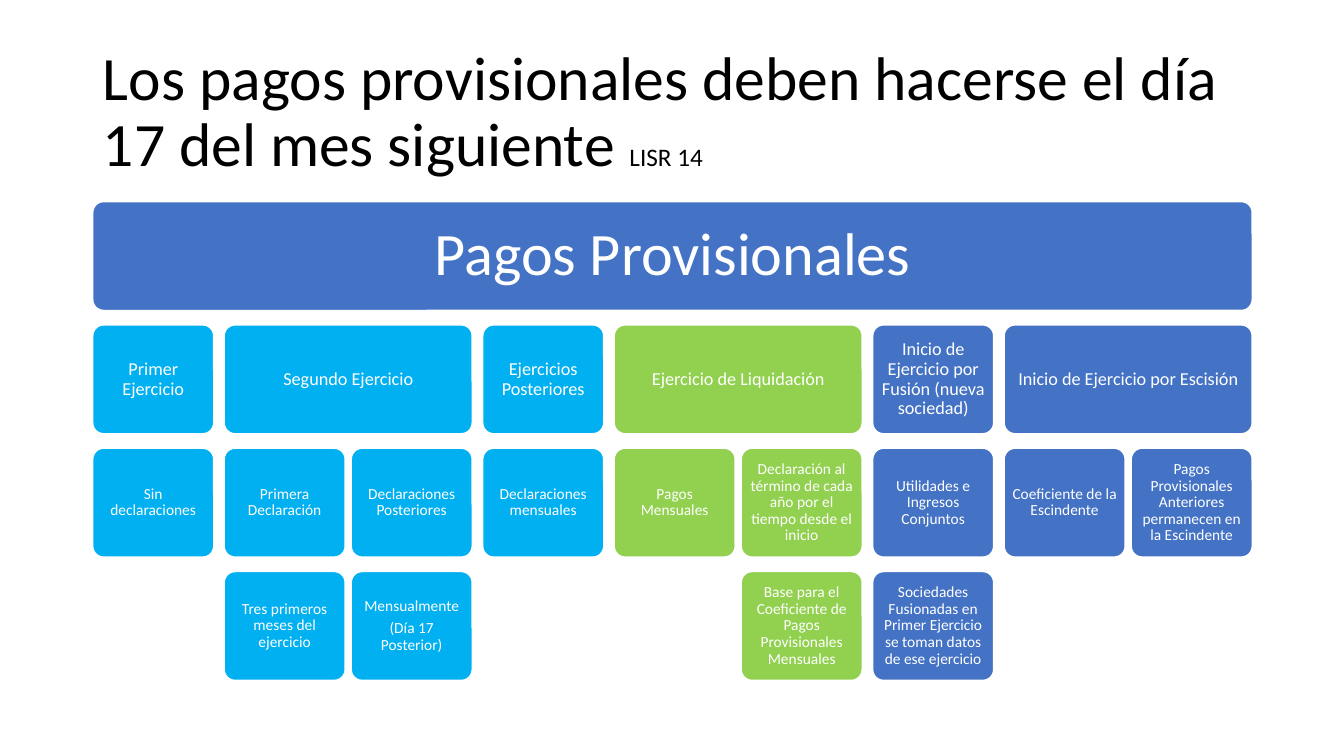
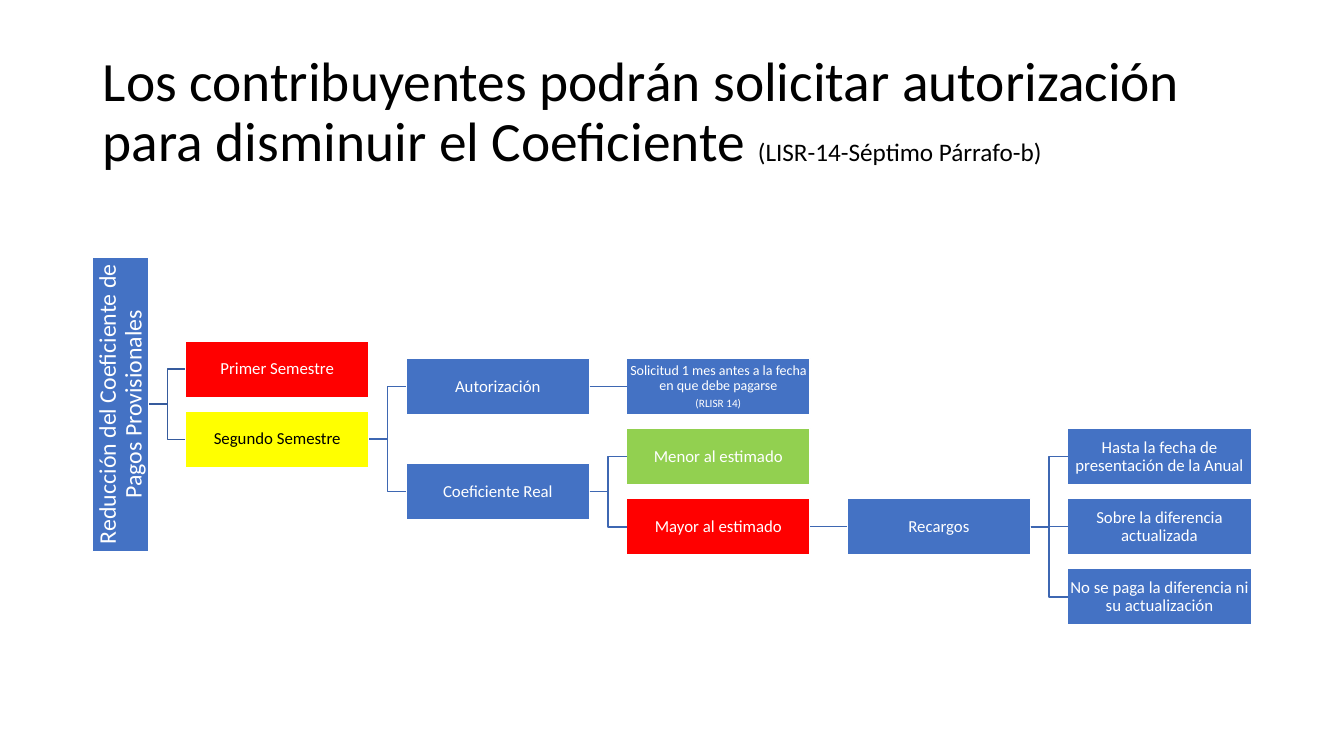
"""Build two slides on provisional tax payments: a block hierarchy and a decision tree."""
from dataclasses import dataclass

from lxml import etree
from pptx import Presentation
from pptx.dml.color import RGBColor
from pptx.enum.shapes import MSO_CONNECTOR, MSO_SHAPE
from pptx.enum.text import MSO_ANCHOR, MSO_AUTO_SIZE, PP_ALIGN
from pptx.oxml.ns import qn
from pptx.util import Inches, Pt

ROUNDED, RECTANGLE = MSO_SHAPE.ROUNDED_RECTANGLE, MSO_SHAPE.RECTANGLE
ELBOW, STRAIGHT = MSO_CONNECTOR.ELBOW, MSO_CONNECTOR.STRAIGHT
MIDDLE, NO_AUTOFIT = MSO_ANCHOR.MIDDLE, MSO_AUTO_SIZE.NONE
LEFT, CENTER = PP_ALIGN.LEFT, PP_ALIGN.CENTER
LEFT_SIDE, RIGHT_SIDE = 1, 3


@dataclass(frozen=True)
class Theme:
    font: str = "Calibri"
    black: RGBColor = RGBColor(0x00, 0x00, 0x00)
    white: RGBColor = RGBColor(0xFF, 0xFF, 0xFF)
    blue: RGBColor = RGBColor(0x44, 0x72, 0xC4)
    cyan: RGBColor = RGBColor(0x00, 0xB0, 0xF0)
    green: RGBColor = RGBColor(0x92, 0xD0, 0x50)
    red: RGBColor = RGBColor(0xFF, 0x00, 0x00)
    yellow: RGBColor = RGBColor(0xFF, 0xFF, 0x00)
    root_link: RGBColor = RGBColor(0x36, 0x5B, 0x9D)
    branch_link: RGBColor = RGBColor(0x3E, 0x67, 0xB2)
    title: float = 44
    long_title: float = 39.6
    reference: float = 18
    banner: float = 43
    heading: float = 13
    detail: float = 11
    root: float = 17
    node: float = 12
    note: float = 10
    small_note: float = 8
    line_spacing: float = 0.9
    paragraph_gap: float = 0.35
    outline: float = 1


THEME = Theme()
CONTENT_LEFT, CONTENT_WIDTH = 0.92, 11.5

presentation = Presentation()
presentation.slide_width = Inches(13.33)
presentation.slide_height = Inches(7.5)
title_layout = presentation.slide_layouts[5]


def add_titled_slide(text, size, reference):
    slide = presentation.slides.add_slide(title_layout)
    title = slide.shapes.title
    title.left, title.top = Inches(CONTENT_LEFT), Inches(0.4)
    title.width, title.height = Inches(CONTENT_WIDTH), Inches(1.45)
    frame = title.text_frame
    frame.auto_size = NO_AUTOFIT
    frame.vertical_anchor = MIDDLE
    paragraph = frame.paragraphs[0]
    paragraph.alignment = LEFT
    paragraph.line_spacing = THEME.line_spacing
    for run_text, run_size in ((text, size), (reference, THEME.reference)):
        run = paragraph.add_run()
        run.text = run_text
        run.font.name = THEME.font
        run.font.size = Pt(run_size)
        run.font.color.rgb = THEME.black
    return slide


def add_box(slide, kind, position, fill, lines, inset, color=THEME.white):
    shape = slide.shapes.add_shape(kind, *[Inches(value) for value in position])
    shape.shadow.inherit = False
    shape.fill.solid()
    shape.fill.fore_color.rgb = fill
    shape.line.color.rgb = THEME.white
    shape.line.width = Pt(THEME.outline)
    if kind == ROUNDED:
        shape.adjustments[0] = 0.1
    frame = shape.text_frame
    frame.word_wrap = True
    frame.vertical_anchor = MIDDLE
    frame.margin_left = frame.margin_right = Inches(inset)
    frame.margin_top = frame.margin_bottom = Inches(inset)
    for index, (text, size) in enumerate(lines):
        paragraph = frame.add_paragraph() if index else frame.paragraphs[0]
        paragraph.alignment = CENTER
        paragraph.line_spacing = THEME.line_spacing
        if index < len(lines) - 1:
            paragraph.space_after = Pt(size * THEME.paragraph_gap)
        run = paragraph.add_run()
        run.text = text
        run.font.name = THEME.font
        run.font.size = Pt(size)
        run.font.color.rgb = color
    return shape


payments_slide = add_titled_slide(
    "Los pagos provisionales deben hacerse el día 17 del mes siguiente ",
    THEME.title, "LISR 14")

payment_groups = [
    ("Primer Ejercicio", THEME.cyan, [[["Sin declaraciones"]]]),
    ("Segundo Ejercicio", THEME.cyan, [
        [["Primera Declaración"], ["Tres primeros meses del ejercicio"]],
        [["Declaraciones Posteriores"], ["Mensualmente", "(Día 17 Posterior)"]]]),
    ("Ejercicios Posteriores", THEME.cyan, [[["Declaraciones mensuales"]]]),
    ("Ejercicio de Liquidación", THEME.green, [
        [["Pagos Mensuales"]],
        [["Declaración al término de cada año por el tiempo desde el inicio"],
         ["Base para el Coeficiente de Pagos Provisionales Mensuales"]]]),
    ("Inicio de Ejercicio por Fusión (nueva sociedad)", THEME.blue, [
        [["Utilidades e Ingresos Conjuntos"],
         ["Sociedades Fusionadas en Primer Ejercicio se toman datos de ese ejercicio"]]]),
    ("Inicio de Ejercicio por Escisión", THEME.blue, [
        [["Coeficiente de la Escindente"]],
        [["Pagos Provisionales Anteriores permanecen en la Escindente"]]]),
]

block_width, block_height, column_gap = 1.2, 1.08, 0.06
group_widths = [len(columns) * (block_width + column_gap) - column_gap
                for _, _, columns in payment_groups]
group_gap = (CONTENT_WIDTH - sum(group_widths)) / (len(payment_groups) - 1)
first_top, last_top = 2, 5.67
row_tops = [first_top + row * (last_top - first_top) / 3 for row in range(4)]

add_box(payments_slide, ROUNDED, (CONTENT_LEFT, row_tops[0], CONTENT_WIDTH, block_height),
        THEME.blue, [("Pagos Provisionales", THEME.banner)], 0.18)
group_left = CONTENT_LEFT
for (heading, fill, columns), group_width in zip(payment_groups, group_widths):
    add_box(payments_slide, ROUNDED, (group_left, row_tops[1], group_width, block_height),
            fill, [(heading, THEME.heading)], 0.05)
    for column_index, column in enumerate(columns):
        block_left = group_left + column_index * (block_width + column_gap)
        for block_top, texts in zip(row_tops[2:], column):
            add_box(payments_slide, ROUNDED,
                    (block_left, block_top, block_width, block_height),
                    fill, [(text, THEME.detail) for text in texts], 0.05)
    group_left += group_width + group_gap

reduction_slide = add_titled_slide(
    "Los contribuyentes podrán solicitar autorización para disminuir el Coeficiente ",
    THEME.long_title, "(LISR-14-Séptimo Párrafo-b)")

node_width, node_height, node_inset = 1.82, 0.56, 0.01
root_height, root_center = 2.92, 4.01
first_level_left, last_level_left = 1.84, 10.59
level_step = (last_level_left - first_level_left) / 4
row_step = (5.92 - 4.53) / 2

root = add_box(reduction_slide, RECTANGLE,
               (CONTENT_LEFT, root_center - root_height / 2, node_height, root_height),
               THEME.blue, [("Reducción del Coeficiente de Pagos Provisionales", THEME.root)],
               node_inset)
root.text_frame._txBody.bodyPr.set("vert", "vert270")

tree_nodes = [
    ("first_half", "root", 0, -0.5, THEME.red, [("Primer Semestre", THEME.node)]),
    ("second_half", "root", 0, 0.5, THEME.yellow, [("Segundo Semestre", THEME.node)]),
    ("approval", "second_half", 1, -0.25, THEME.blue, [("Autorización", THEME.node)]),
    ("request", "approval", 2, -0.25, THEME.blue,
     [("Solicitud 1 mes antes a la fecha en que debe pagarse", THEME.note),
      ("(RLISR 14)", THEME.small_note)]),
    ("real_rate", "second_half", 1, 1.25, THEME.blue, [("Coeficiente Real", THEME.node)]),
    ("lower", "real_rate", 2, 0.75, THEME.green, [("Menor al estimado", THEME.node)]),
    ("higher", "real_rate", 2, 1.75, THEME.red, [("Mayor al estimado", THEME.node)]),
    ("surcharges", "higher", 3, 1.75, THEME.blue, [("Recargos", THEME.node)]),
    ("until_annual", "surcharges", 4, 0.75, THEME.blue,
     [("Hasta la fecha de presentación de la Anual", THEME.node)]),
    ("on_difference", "surcharges", 4, 1.75, THEME.blue,
     [("Sobre la diferencia actualizada", THEME.node)]),
    ("not_paid", "surcharges", 4, 2.75, THEME.blue,
     [("No se paga la diferencia ni su actualización", THEME.node)]),
]

node_shapes, node_rows = {"root": root}, {"root": 0}
for name, parent, level, row, fill, lines in tree_nodes:
    node_top = root_center + row * row_step - node_height / 2
    node_left = first_level_left + level * level_step
    text_color = THEME.black if fill == THEME.yellow else THEME.white
    node = add_box(reduction_slide, RECTANGLE,
                   (node_left, node_top, node_width, node_height),
                   fill, lines, node_inset, text_color)
    node_shapes[name], node_rows[name] = node, row

    link_kind = STRAIGHT if row == node_rows[parent] else ELBOW
    link = reduction_slide.shapes.add_connector(link_kind, 0, 0, 0, 0)
    link.begin_connect(node_shapes[parent], RIGHT_SIDE)
    link.end_connect(node, LEFT_SIDE)
    link.line.color.rgb = THEME.root_link if parent == "root" else THEME.branch_link
    link.line.width = Pt(THEME.outline)
    etree.SubElement(link._element.spPr, qn("a:effectLst"))

presentation.save("out.pptx")
